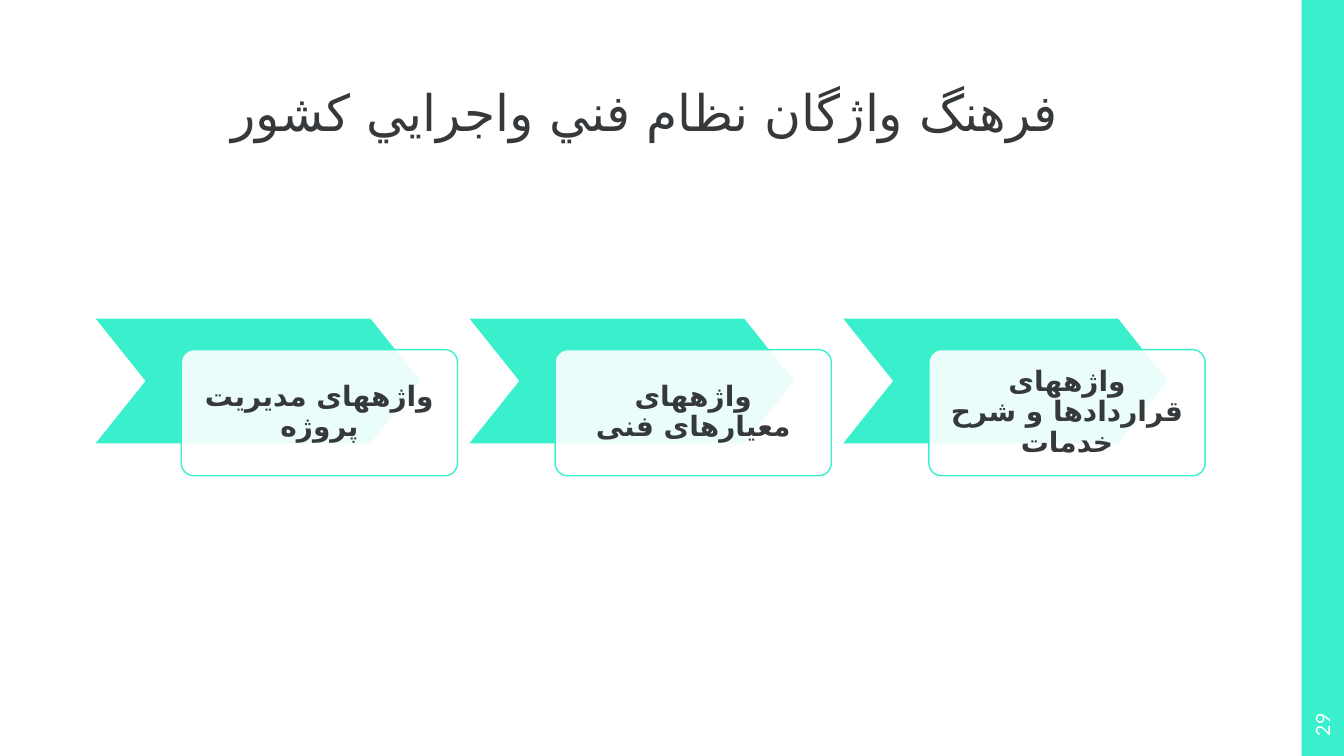
from lxml import etree
from pptx import Presentation
from pptx.dml.color import RGBColor
from pptx.enum.shapes import MSO_SHAPE
from pptx.enum.text import MSO_ANCHOR, MSO_AUTO_SIZE, PP_ALIGN
from pptx.oxml.ns import qn
from pptx.util import Cm, Pt

RECTANGLE = MSO_SHAPE.RECTANGLE
CHEVRON = MSO_SHAPE.CHEVRON
ROUNDED = MSO_SHAPE.ROUNDED_RECTANGLE
CENTER = PP_ALIGN.CENTER
MIDDLE = MSO_ANCHOR.MIDDLE
TOP = MSO_ANCHOR.TOP
NO_FIT = MSO_AUTO_SIZE.NONE

COLORS = {"accent": "3AEFCC", "ink": "36393B", "white": "FFFFFF"}
PERSIAN_FONT = "DejaVu Sans"
TERMS = [
    "واژههای مدیریت پروژه",
    "واژههای معیارهای فنی",
    "واژههای قراردادها و شرح خدمات",
]
LEFT, STEP = 2.37, 9.42


def add_block(kind, left, top, width, height, fill, line=None):
    block = page.shapes.add_shape(kind, Cm(left), Cm(top), Cm(width), Cm(height))
    block.shadow.inherit = False
    block.fill.solid()
    block.fill.fore_color.rgb = RGBColor.from_string(COLORS[fill])
    if line:
        block.line.color.rgb = RGBColor.from_string(COLORS[line])
        block.line.width = Pt(1)
    else:
        block.line.fill.background()
    return block


def write(box, text, font, size, color, anchor, margins, spacing=1.0, bold=False, rtl=True):
    frame = box.text_frame
    frame.text = text
    frame.word_wrap = True
    frame.auto_size = NO_FIT
    frame.vertical_anchor = anchor
    frame.margin_left, frame.margin_top, frame.margin_right, frame.margin_bottom = map(Cm, margins)
    para = frame.paragraphs[0]
    para.alignment = CENTER
    para.line_spacing = spacing
    span = para.runs[0]
    span.font.name = font
    span.font.size = Pt(size)
    span.font.bold = bold
    span.font.color.rgb = RGBColor.from_string(COLORS[color])
    if rtl:
        para._p.get_or_add_pPr().set("rtl", "1")
        span._r.get_or_add_rPr().set("lang", "fa-IR")
        etree.SubElement(span.font._element, qn("a:cs")).set("typeface", PERSIAN_FONT)


deck = Presentation()
deck.slide_width = Cm(33.87)
deck.slide_height = Cm(19.05)
page = deck.slides.add_slide(deck.slide_layouts[5])

add_block(RECTANGLE, 32.8, 0, 1.07, 19.05, "accent")

title = page.shapes.title
title.left, title.top, title.width, title.height = Cm(LEFT), Cm(1.6), Cm(28.02), Cm(3.05)
write(title, "فرهنگ واژگان نظام فني واجرايي كشور", "Lato", 36, "ink", TOP,
      (0, 0.13, 0.25, 0.13), spacing=1.2)

for index, term in enumerate(TERMS):
    left = LEFT + index * STEP
    arrow = add_block(CHEVRON, left, 8.01, 8.25, 3.18, "accent", "white")
    arrow.adjustments[0] = 0.4
    card = add_block(ROUNDED, left + 2.2, 8.81, 6.96, 3.18, "white", "accent")
    card.adjustments[0] = 0.1
    tint = card.fill._xPr.find(qn("a:solidFill"))[0]
    etree.SubElement(tint, qn("a:alpha")).set("val", "90000")
    write(card, term, "Montserrat", 20, "ink", MIDDLE, (0.4, 0.4, 0.4, 0.4),
          spacing=0.9, bold=True)

number = page.shapes.add_textbox(Cm(32.54), Cm(17.73), Cm(1.57), Cm(1.07))
number.rotation = 270
write(number, "29", "Lato", 14, "white", MIDDLE, (0.25, 0.13, 0.25, 0.13), rtl=False)

deck.save("out.pptx")
